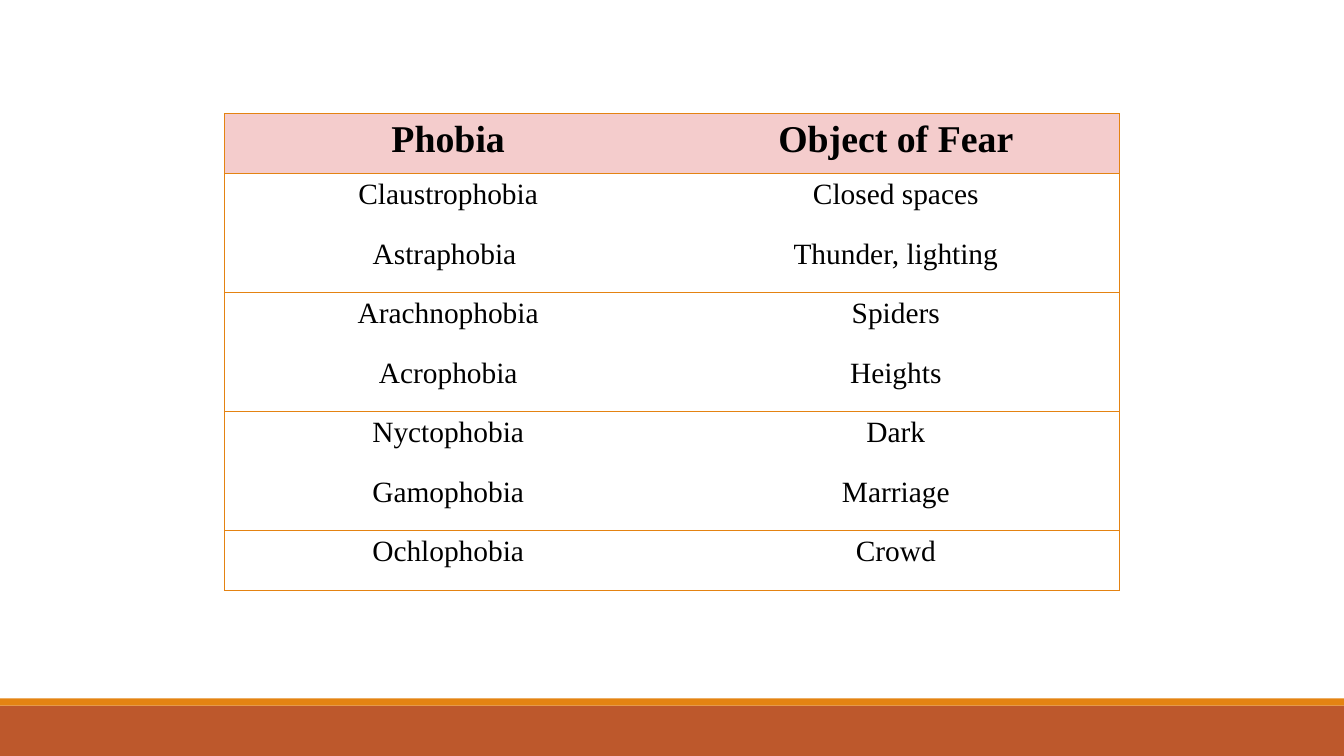
import lxml.etree
import pptx
import pptx.dml.color
import pptx.enum.shapes
import pptx.enum.text
import pptx.oxml.ns
import pptx.util

Cm = pptx.util.Cm
Pt = pptx.util.Pt

PHOBIAS = [
    ("Phobia", "Object of Fear"),
    ("Claustrophobia", "Closed spaces"),
    ("Astraphobia ", "Thunder, lighting"),
    ("Arachnophobia", "Spiders"),
    ("Acrophobia", "Heights"),
    ("Nyctophobia", "Dark"),
    ("Gamophobia", "Marriage"),
    ("Ochlophobia", "Crowd"),
]
SLIDE_WIDTH, SLIDE_HEIGHT = 33.87, 19.05
FOOTER_BANDS = [(17.78, 1.27, "BD582C"), (17.6, 0.18, "E48312")]
TABLE_TOP, COLUMN_WIDTH, ROW_HEIGHT = 2.87, 11.28, 1.5
BORDER, HEADER_FILL, INK = "E48312", "F4CCCC", "000000"
HEADING = {"name": "Times New Roman", "size": Pt(27), "bold": True}
ENTRY = {"name": "Times New Roman", "size": Pt(21), "bold": False}


def color(value):
    return pptx.dml.color.RGBColor.from_string(value)


def paint(fill, value):
    fill.solid()
    fill.fore_color.rgb = color(value)


def add_band(slide, top, height, value):
    band = slide.shapes.add_shape(
        pptx.enum.shapes.MSO_SHAPE.RECTANGLE, 0, Cm(top), Cm(SLIDE_WIDTH), Cm(height))
    band.shadow.inherit = False
    paint(band.fill, value)
    band.line.fill.background()


def draw_borders(cell, visible):
    qn = pptx.oxml.ns.qn
    properties = cell._tc.get_or_add_tcPr()
    for side in "LRTB":
        edge = lxml.etree.SubElement(properties, qn("a:ln" + side), w=str(Pt(0.75)))
        if side in visible:
            ink = lxml.etree.SubElement(edge, qn("a:solidFill"))
            lxml.etree.SubElement(ink, qn("a:srgbClr"), val=BORDER)
        else:
            lxml.etree.SubElement(edge, qn("a:noFill"))


def fill_cell(cell, text, row, column):
    last = len(PHOBIAS) - 1
    visible = "LR"[column]
    if row == 0 or row % 2 == 1:
        visible += "T"
    if row == last or row % 2 == 0:
        visible += "B"
    draw_borders(cell, visible)
    if row == 0:
        paint(cell.fill, HEADER_FILL)
    else:
        cell.fill.background()
    paragraph = cell.text_frame.paragraphs[0]
    paragraph.alignment = pptx.enum.text.PP_ALIGN.CENTER
    run = paragraph.add_run()
    run.text = text
    for attribute, value in (HEADING if row == 0 else ENTRY).items():
        setattr(run.font, attribute, value)
    run.font.color.rgb = color(INK)


def main():
    deck = pptx.Presentation()
    deck.slide_width, deck.slide_height = Cm(SLIDE_WIDTH), Cm(SLIDE_HEIGHT)
    slide = deck.slides.add_slide(deck.slide_layouts[6])
    for band in FOOTER_BANDS:
        add_band(slide, *band)

    columns = len(PHOBIAS[0])
    width = columns * COLUMN_WIDTH
    phobias = slide.shapes.add_table(
        len(PHOBIAS), columns, Cm((SLIDE_WIDTH - width) / 2), Cm(TABLE_TOP),
        Cm(width), Cm(len(PHOBIAS) * ROW_HEIGHT)).table
    phobias.horz_banding = False
    for row, entries in enumerate(PHOBIAS):
        for column, text in enumerate(entries):
            fill_cell(phobias.cell(row, column), text, row, column)
    deck.save("out.pptx")


if __name__ == "__main__":
    main()
